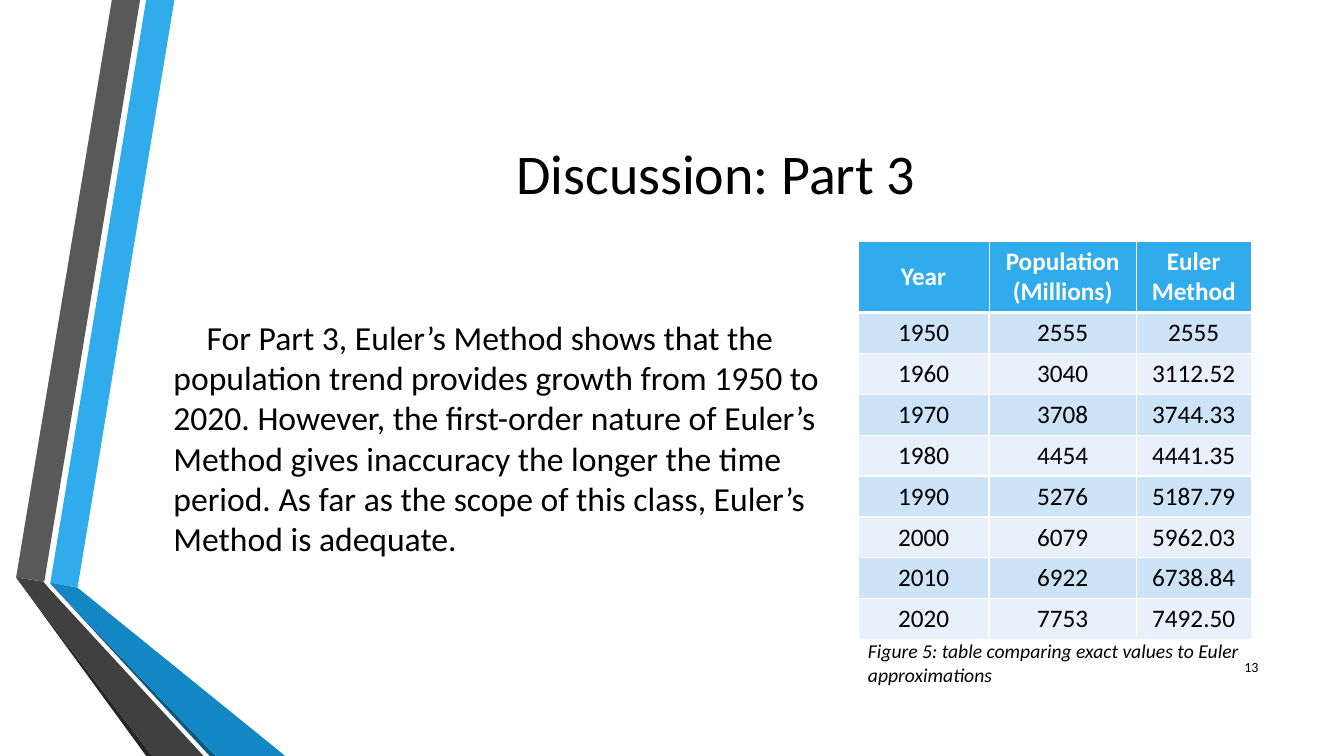
from lxml.etree import SubElement
from pptx import Presentation
from pptx.dml.color import RGBColor
from pptx.enum.text import MSO_ANCHOR as Anchor, MSO_AUTO_SIZE as AutoSize, PP_ALIGN as Align
from pptx.oxml.ns import qn
from pptx.util import Inches, Pt


def paint(fill, color):
    fill.solid()
    fill.fore_color.rgb = RGBColor.from_string(color)


def write(frame, text, size, align=Align.LEFT, anchor=Anchor.MIDDLE, color="000000"):
    frame.word_wrap = True
    frame.vertical_anchor = anchor
    frame.text = text
    paragraph = frame.paragraphs[0]
    paragraph.alignment = align
    paragraph.font.name = "Calibri"
    paragraph.font.size = Pt(size)
    paint(paragraph.font.fill, color)
    return paragraph


presentation = Presentation()
presentation.slide_width, presentation.slide_height = Inches(13.33), Inches(7.5)
slide = presentation.slides.add_slide(presentation.slide_layouts[1])
paint(slide.background.fill, "FFFFFF")

# Folded ribbons on the left
ribbons = [
    ("30ACEC", [(0.5, 5.78), (0.77, 5.83), (1.73, 0), (1.45, 0)]),
    ("595959", [(1.39, 0), (1.11, 0), (0.16, 5.73), (0.44, 5.77)]),
    ("262626", [(0.16, 5.73), (1.45, 7.5), (1.51, 7.5)]),
    ("0C5A82", [(0.5, 5.79), (2.08, 7.5), (2.14, 7.5)]),
    ("1287C3", [(0.5, 5.79), (2.14, 7.5), (2.83, 7.5), (0.77, 5.83), (0.5, 5.78)]),
    ("404040", [(2.02, 7.5), (0.48, 5.83), (0.43, 5.77), (0.16, 5.73), (1.51, 7.5)]),
]
for color, points in ribbons:
    corners = [(Inches(x), Inches(y)) for x, y in points]
    builder = slide.shapes.build_freeform(*corners[0])
    builder.add_line_segments(corners[1:], close=True)
    ribbon = builder.convert_to_shape()
    ribbon.shadow.inherit = False
    paint(ribbon.fill, color)
    ribbon.line.fill.background()

# Title
title = slide.shapes.title
title.left, title.top = Inches(1.62), Inches(0.75)
title.width, title.height = Inches(10.96), Inches(1.92)
write(title.text_frame, "Discussion: Part 3", 40, Align.CENTER)

# Discussion paragraph, first line indented, no bullet
body = slide.placeholders[1]
body.left, body.top = Inches(1.62), Inches(2.39)
body.width, body.height = Inches(6.67), Inches(3.9)
body.text_frame.auto_size = AutoSize.NONE
discussion = write(
    body.text_frame,
    "For Part 3, Euler’s Method shows that the population trend provides growth "
    "from 1950 to 2020. However, the first-order nature of Euler’s Method gives "
    "inaccuracy the longer the time period. As far as the scope of this class, "
    "Euler’s Method is adequate.",
    24,
)
properties = discussion._p.get_or_add_pPr()
properties.set("marL", "0")
properties.set("indent", str(Inches(0.33)))
SubElement(properties, qn("a:buNone"))
discussion.space_before, discussion.space_after = Pt(0), Pt(6)

# Population table
rows = [
    ("Year", "Population (Millions)", "Euler Method"),
    ("1950", "2555", "2555"),
    ("1960", "3040", "3112.52"),
    ("1970", "3708", "3744.33"),
    ("1980", "4454", "4441.35"),
    ("1990", "5276", "5187.79"),
    ("2000", "6079", "5962.03"),
    ("2010", "6922", "6738.84"),
    ("2020", "7753", "7492.50"),
]
table = slide.shapes.add_table(
    len(rows), 3, Inches(8.51), Inches(2.39), Inches(3.9), Inches(3.9)
).table
for column, width in zip(table.columns, (1.3, 1.46, 1.14)):
    column.width = Inches(width)
for row_index, values in enumerate(rows):
    header = row_index == 0
    table.rows[row_index].height = Inches(0.71 if header else 0.4)
    row_color = "30ACEC" if header else ("E8F1FB", "CDE3F8")[row_index % 2]
    edges = {side: 0.5 if header else 1 for side in ("lnL", "lnR", "lnT", "lnB")}
    if row_index < 2:
        edges["lnB" if header else "lnT"] = 2.25
    for column_index, value in enumerate(values):
        cell = table.cell(row_index, column_index)
        cell.vertical_anchor = Anchor.MIDDLE
        entry = write(cell.text_frame, value, 18, Align.CENTER,
                      color="FFFFFF" if header else "000000")
        entry.font.bold = header
        # Borders come before the fill in the cell properties
        cell_properties = cell._tc.get_or_add_tcPr()
        for side, weight in edges.items():
            border = SubElement(cell_properties, qn(f"a:{side}"), w=str(Pt(weight)))
            border_fill = SubElement(border, qn("a:solidFill"))
            SubElement(border_fill, qn("a:srgbClr"), val="FFFFFF")
        paint(cell.fill, row_color)

# Caption and slide number
caption = slide.shapes.add_textbox(Inches(8.51), Inches(6.29), Inches(4.82), Inches(0.57))
caption_text = write(caption.text_frame,
                     "Figure 5: table comparing exact values to Euler approximations",
                     14, anchor=Anchor.TOP)
caption_text.font.italic = True
number = slide.shapes.add_textbox(Inches(11.98), Inches(6.42), Inches(0.6), Inches(0.4))
write(number.text_frame, "13", 10, Align.RIGHT)

presentation.save("out.pptx")
